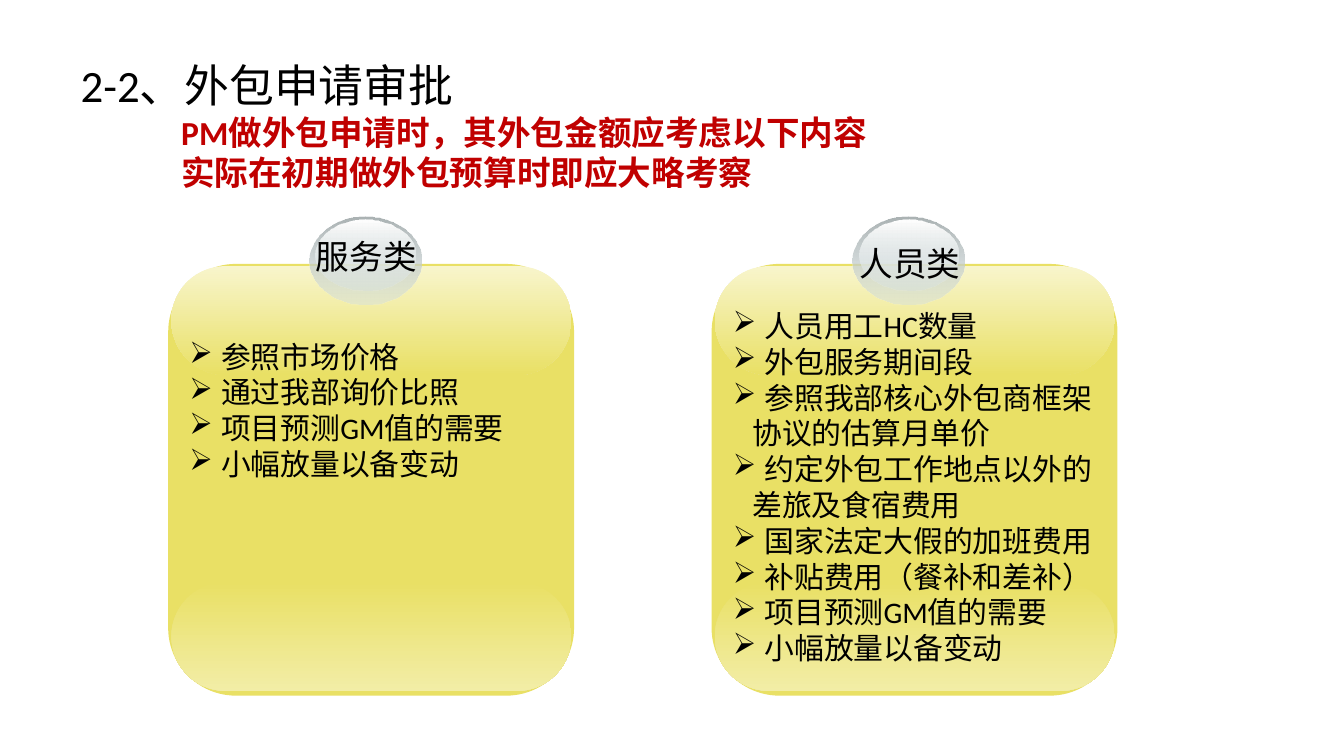
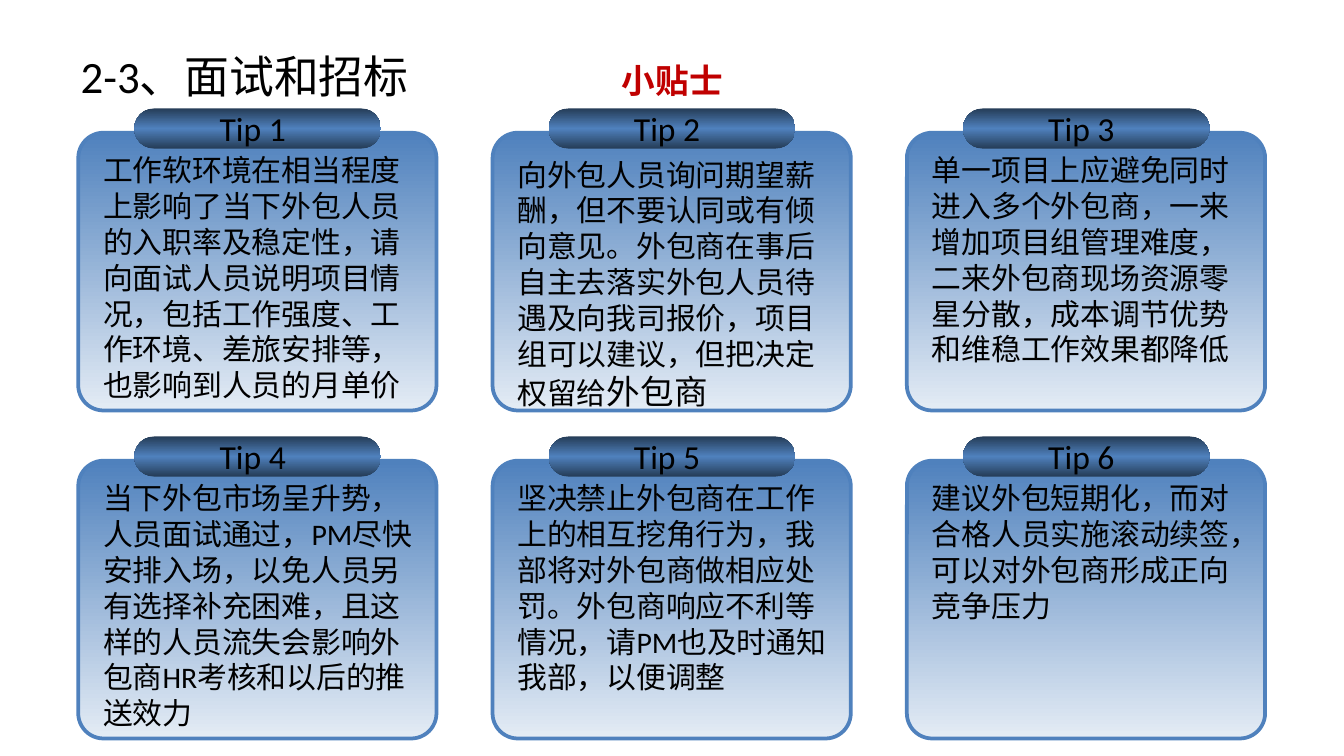
from lxml import etree
from pptx import Presentation
from pptx.dml.color import RGBColor
from pptx.enum.lang import MSO_LANGUAGE_ID
from pptx.enum.shapes import MSO_SHAPE
from pptx.enum.text import MSO_ANCHOR, MSO_AUTO_SIZE, PP_ALIGN
from pptx.oxml.ns import qn
from pptx.util import Cm, Pt

ROUNDED = MSO_SHAPE.ROUNDED_RECTANGLE
OVAL = MSO_SHAPE.OVAL
TOP, MIDDLE = MSO_ANCHOR.TOP, MSO_ANCHOR.MIDDLE
LEFT, CENTER = PP_ALIGN.LEFT, PP_ALIGN.CENTER
GROW = MSO_AUTO_SIZE.SHAPE_TO_FIT_TEXT
FIXED = MSO_AUTO_SIZE.NONE
CHINESE = MSO_LANGUAGE_ID.SIMPLIFIED_CHINESE

FONT = "Calibri"
BLACK, RED, YELLOW, BLUE, NAVY = "000000", "C00000", "E9E065", "4F81BD", "253C57"
BULLET_INDENT = 0.6
CONTINUED_INDENT = 0.37
TITLE_ONLY = 5


def color(value):
    return RGBColor.from_string(value)


def add_text(paragraph, text, size=16, bold=False, fill=BLACK):
    run = paragraph.add_run()
    run.text = text
    font = run.font
    font.name, font.size, font.bold = FONT, Pt(size), bold
    font.color.rgb = color(fill)
    font.language_id = CHINESE


def set_indent(paragraph, margin, bullet=None):
    properties = paragraph._p.get_or_add_pPr()
    properties.set("marL", str(Cm(margin)))
    properties.set("indent", str(-Cm(margin) if bullet else 0))
    if bullet:
        etree.SubElement(properties, qn("a:buChar"), char=bullet)


def set_tab(paragraph, position):
    properties = paragraph._p.get_or_add_pPr()
    tabs = etree.SubElement(properties, qn("a:tabLst"))
    etree.SubElement(tabs, qn("a:tab"), pos=str(Cm(position)), algn="l")


def set_gradient(shape, stops):
    shape.fill.gradient()
    shape.fill.gradient_angle = 270
    stop_list = shape.element.spPr.find(qn("a:gradFill")).find(qn("a:gsLst"))
    for stop in list(stop_list):
        stop_list.remove(stop)
    for position, value, *opacity in stops:
        stop = etree.SubElement(stop_list, qn("a:gs"), pos=str(position * 1000))
        stop_color = etree.SubElement(stop, qn("a:srgbClr"), val=value)
        for percent in opacity:
            etree.SubElement(stop_color, qn("a:alpha"), val=str(percent * 1000))


class Deck:
    def __init__(self):
        self.presentation = Presentation()
        self.presentation.slide_width = Cm(25.4)
        self.presentation.slide_height = Cm(14.29)
        self.slide = None

    def new_slide(self):
        layout = self.presentation.slide_layouts[TITLE_ONLY]
        self.slide = self.presentation.slides.add_slide(layout)

    def title(self, text, top, width, height):
        shape = self.slide.shapes.title
        shape.left, shape.top = Cm(1.27), Cm(top)
        shape.width, shape.height = Cm(width), Cm(height)
        frame = shape.text_frame
        frame.vertical_anchor, frame.auto_size = TOP, FIXED
        paragraph = frame.paragraphs[0]
        paragraph.alignment = LEFT
        add_text(paragraph, text, size=24)
        return frame

    def shape(self, kind, left, top, width, height, stops=None, fill=None,
              line=None, corner=None):
        shape = self.slide.shapes.add_shape(
            kind, Cm(left), Cm(top), Cm(width), Cm(height))
        shape.shadow.inherit = False
        if corner is not None:
            shape.adjustments[0] = corner
        if stops:
            set_gradient(shape, stops)
        else:
            shape.fill.solid()
            shape.fill.fore_color.rgb = color(fill)
        if line:
            shape.line.color.rgb = color(line)
            shape.line.width = Pt(2)
        else:
            shape.line.fill.background()
        return shape

    def text_box(self, left, top, width, height, wrap=True):
        box = self.slide.shapes.add_textbox(Cm(left), Cm(top), Cm(width), Cm(height))
        frame = box.text_frame
        frame.word_wrap, frame.auto_size = wrap, GROW
        return frame

    def bullet_list(self, items, left, top, width, height):
        frame = self.text_box(left, top, width, height)
        for index, item in enumerate(items):
            for line_number, line in enumerate(item.split("\n")):
                first = index == line_number == 0
                paragraph = frame.paragraphs[0] if first else frame.add_paragraph()
                if line_number:
                    set_indent(paragraph, CONTINUED_INDENT)
                else:
                    set_indent(paragraph, BULLET_INDENT, "➢")
                add_text(paragraph, line)

    def category_panel(self, left, label, label_top, items, list_top, list_height):
        self.shape(ROUNDED, left, 4.99, 7.67, 8.16, fill=YELLOW, corner=0.167)
        for top, stops in ((11, [(0, YELLOW), (100, "F2EDA6")]),
                           (5.03, [(0, "F8F5CC"), (100, YELLOW)])):
            self.shape(ROUNDED, left + 0.06, top, 7.56, 2.06, stops, corner=0.5)
        self.shape(OVAL, left + 2.67, 4.1, 2.11, 1.65,
                   [(0, "AAB2B3"), (100, "D6E1E2", 48)])
        self.shape(OVAL, left + 2.79, 4.15, 1.88, 1.35,
                   [(0, "FFFFFF"), (100, "D6E1E2", 38)])
        paragraph = self.text_box(left + 2.54, label_top, 2.41, 1.02, False).paragraphs[0]
        paragraph.alignment = CENTER
        add_text(paragraph, label, size=18)
        self.bullet_list(items, left + 0.15, list_top, 7.52, list_height)

    def tip_card(self, left, top, name, text, height, ending="", drop=0.24):
        self.shape(ROUNDED, left, top, 6.77, 5.25, [(0, BLUE), (100, "E4ECF5")],
                   line=BLUE, corner=0.091)
        tab = self.shape(ROUNDED, left + 1.06, top - 0.46, 4.66, 0.76,
                         [(0, NAVY), (50, BLUE), (100, NAVY)], corner=0.5)
        frame = tab.text_frame
        frame.vertical_anchor, frame.margin_left = MIDDLE, Cm(1.5)
        frame.paragraphs[0].alignment = LEFT
        add_text(frame.paragraphs[0], name, size=18)
        paragraph = self.text_box(left + 0.22, top + drop, 6.35, height).paragraphs[0]
        add_text(paragraph, text)
        if ending:
            add_text(paragraph, ending, size=18)


def build_approval(deck):
    deck.new_slide()
    frame = deck.title("2-2、外包申请审批", 0.97, 19.25, 2.79)
    for text in ("PM做外包申请时，其外包金额应考虑以下内容",
                 "实际在初期做外包预算时即应大略考察"):
        paragraph = frame.add_paragraph()
        paragraph.alignment = LEFT
        set_indent(paragraph, 1.9)
        add_text(paragraph, text, size=18, bold=True, fill=RED)
    shared = ["项目预测GM值的需要", "小幅放量以备变动"]
    deck.category_panel(3.18, "服务类", 4.34,
                        ["参照市场价格", "通过我部询价比照"] + shared, 6.27, 2.97)
    deck.category_panel(13.45, "人员类", 4.47, [
        "人员用工HC数量",
        "外包服务期间段",
        "参照我部核心外包商框架\n协议的估算月单价",
        "约定外包工作地点以外的\n差旅及食宿费用",
        "国家法定大假的加班费用",
        "补贴费用（餐补和差补）",
    ] + shared, 5.69, 7.04)


def build_tips(deck):
    deck.new_slide()
    paragraph = deck.title("2-3、面试和招标\t", 0.79, 15.04, 1.27).paragraphs[0]
    set_tab(paragraph, 10.23)
    add_text(paragraph, "小贴士", size=18, bold=True, fill=RED)
    tips = [
        dict(text="工作软环境在相当程度上影响了当下外包人员的入职率及稳定性，请向面试人员说明项目情况，"
                  "包括工作强度、工作环境、差旅安排等，也影响到人员的月单价", height=5),
        dict(text="向外包人员询问期望薪酬，但不要认同或有倾向意见。外包商在事后自主去落实外包人员待遇及"
                  "向我司报价，项目组可以建议，但把决定权留给", ending="外包商", height=5.08, drop=0.32),
        dict(text="单一项目上应避免同时进入多个外包商，一来增加项目组管理难度，二来外包商现场资源零星分散，"
                  "成本调节优势和维稳工作效果都降低", height=4.32),
        dict(text="当下外包市场呈升势，人员面试通过，PM尽快安排入场，以免人员另有选择补充困难，"
                  "且这样的人员流失会影响外包商HR考核和以后的推送效力", height=5),
        dict(text="坚决禁止外包商在工作上的相互挖角行为，我部将对外包商做相应处罚。外包商响应不利等情况，"
                  "请PM也及时通知我部，以便调整", height=4.32),
        dict(text="建议外包短期化，而对合格人员实施滚动续签，可以对外包商形成正向竞争压力", height=2.97),
    ]
    for index, tip in enumerate(tips):
        row, column = divmod(index, 3)
        deck.tip_card(1.48 + column * 7.83, 2.51 + row * 6.2, f"Tip {index + 1}", **tip)


def main():
    deck = Deck()
    build_approval(deck)
    build_tips(deck)
    deck.presentation.save("out.pptx")


if __name__ == "__main__":
    main()
